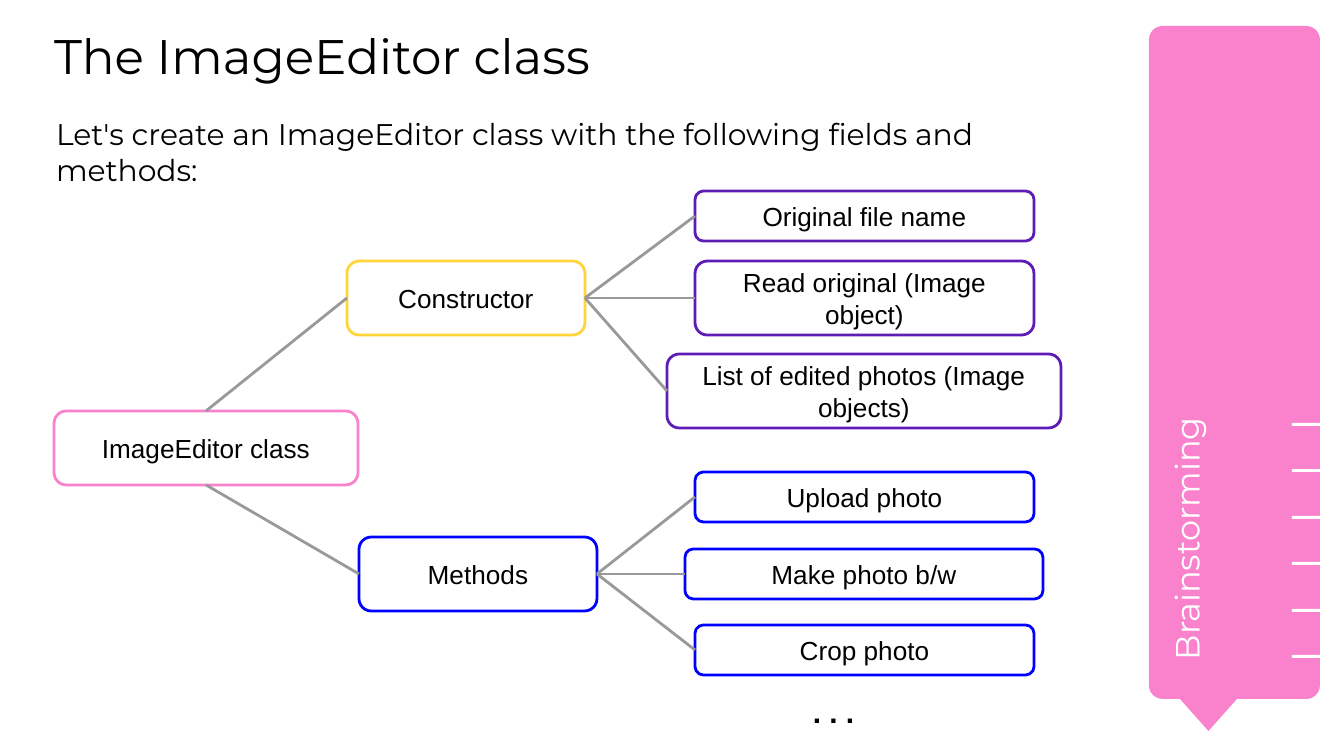
"""Build the ImageEditor class slide: a class tree beside a Brainstorming ruler tab."""
from dataclasses import dataclass

from lxml import etree
from pptx import Presentation
from pptx import util as u
from pptx.dml.color import RGBColor
from pptx.enum import shapes, text
from pptx.oxml.ns import qn

EMU_PER_PX = 914400 / 134.4
PADDING = 13

PINK = RGBColor(0xFA, 0x82, 0xCC)
YELLOW = RGBColor(0xFF, 0xD5, 0x3A)
BLUE = RGBColor(0x00, 0x00, 0xFF)
PURPLE = RGBColor(0x5E, 0x1C, 0xB6)
GREY = RGBColor(0x99, 0x99, 0x99)
BLACK = RGBColor(0x00, 0x00, 0x00)
WHITE = RGBColor(0xFF, 0xFF, 0xFF)

TOP, LEFT, BOTTOM, RIGHT = range(4)


@dataclass(frozen=True)
class Area:
    left: int
    top: int
    width: int
    height: int

    def emu(self) -> tuple:
        return tuple(px(n) for n in (self.left, self.top, self.width, self.height))


@dataclass(frozen=True)
class Style:
    size: int
    font: str = "Montserrat"
    color: RGBColor = BLACK
    bold: bool = False


@dataclass(frozen=True)
class Node:
    label: str
    area: Area
    color: RGBColor


@dataclass(frozen=True)
class Label:
    words: str
    area: Area
    style: Style
    padding: int = PADDING
    rotation: int = 0


@dataclass(frozen=True)
class Link:
    start: str
    start_side: int
    end: str


NODE_STYLE = Style(14, "Arial")

NODES = [
    Node("ImageEditor class", Area(54, 411, 304, 74), PINK),
    Node("Constructor", Area(347, 261, 238, 74), YELLOW),
    Node("Methods", Area(359, 537, 238, 74), BLUE),
    Node("Original file name", Area(695, 191, 339, 50), PURPLE),
    Node("Read original (Image object)", Area(695, 261, 339, 74), PURPLE),
    Node("List of edited photos (Image objects)", Area(667, 354, 394, 74), PURPLE),
    Node("Upload photo", Area(695, 472, 339, 50), BLUE),
    Node("Make photo b/w", Area(685, 549, 358, 50), BLUE),
    Node("Crop photo", Area(695, 625, 339, 50), BLUE),
]

LINKS = [
    Link("ImageEditor class", TOP, "Constructor"),
    Link("ImageEditor class", BOTTOM, "Methods"),
    *(Link("Constructor", RIGHT, node.label) for node in NODES[3:6]),
    *(Link("Methods", RIGHT, node.label) for node in NODES[6:]),
]

LABELS = [
    Label("Brainstorming", Area(960, 390, 476, 90), Style(18, color=WHITE), rotation=270),
    Label("The ImageEditor class", Area(54, 26, 1067, 74), Style(26), padding=0),
    Label("Let's create an ImageEditor class with the following fields and methods:",
          Area(43, 103, 1089, 74), Style(16)),
    Label(". . .", Area(800, 681, 171, 31), Style(16, "Arial", bold=True)),
]


def px(count: int) -> u.Emu:
    return u.Emu(round(count * EMU_PER_PX))


def write(box, words: str, style: Style, padding: int = PADDING):
    frame = box.text_frame
    frame.word_wrap = True
    frame.margin_left = frame.margin_right = px(padding)
    frame.margin_top = frame.margin_bottom = px(padding)
    span = frame.paragraphs[0].add_run()
    span.text = words
    span.font.name = style.font
    span.font.size = u.Pt(style.size)
    span.font.bold = style.bold
    span.font.color.rgb = style.color
    return frame


def add_block(page, kind: shapes.MSO_SHAPE, area: Area, fill: RGBColor):
    block = page.shapes.add_shape(kind, *area.emu())
    block.shadow.inherit = False
    block.fill.solid()
    block.fill.fore_color.rgb = fill
    block.line.fill.background()
    return block


def add_ruler_tab(page) -> None:
    bar = add_block(page, shapes.MSO_SHAPE.ROUNDED_RECTANGLE, Area(1149, 26, 171, 673), PINK)
    bar.adjustments[0] = 0.08
    add_block(page, shapes.MSO_SHAPE.FLOWCHART_MERGE, Area(1164, 681, 89, 50), PINK)
    for index in range(6):
        tick = Area(1292, 423 + 93 * index // 2, 28, 3)
        add_block(page, shapes.MSO_SHAPE.RECTANGLE, tick, WHITE)


def add_label(page, label: Label) -> None:
    box = page.shapes.add_textbox(*label.area.emu())
    box.rotation = label.rotation
    write(box, label.words, label.style, label.padding)


def add_node(page, node: Node):
    box = add_block(page, shapes.MSO_SHAPE.ROUNDED_RECTANGLE, node.area, WHITE)
    box.line.color.rgb = node.color
    box.line.width = u.Pt(1.5)
    frame = write(box, node.label, NODE_STYLE)
    frame.vertical_anchor = text.MSO_ANCHOR.MIDDLE
    frame.paragraphs[0].alignment = text.PP_ALIGN.CENTER
    return box


def add_link(page, link: Link, boxes: dict) -> None:
    line = page.shapes.add_connector(shapes.MSO_CONNECTOR.STRAIGHT, 0, 0, 0, 0)
    line.begin_connect(boxes[link.start], link.start_side)
    line.end_connect(boxes[link.end], LEFT)
    line.line.color.rgb = GREY
    line.line.width = u.Pt(1.5)
    etree.SubElement(line._element.spPr, qn("a:effectLst"))


def main() -> None:
    deck = Presentation()
    deck.slide_width, deck.slide_height = px(1344), px(756)
    page = deck.slides.add_slide(deck.slide_layouts[6])
    add_ruler_tab(page)
    for label in LABELS:
        add_label(page, label)
    boxes = {node.label: add_node(page, node) for node in NODES}
    for link in LINKS:
        add_link(page, link, boxes)
    deck.save("out.pptx")


if __name__ == "__main__":
    main()
